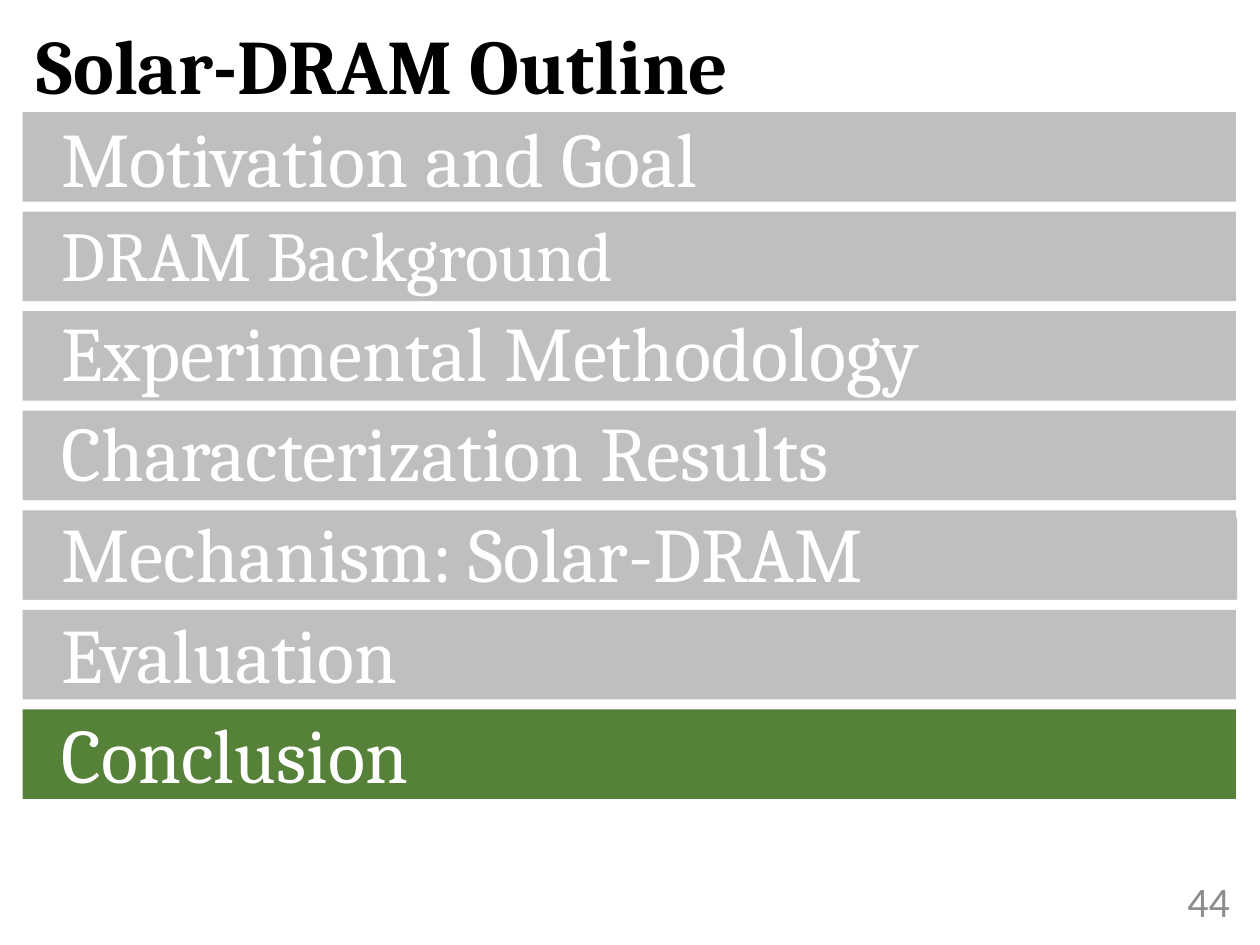
from pptx import Presentation
from pptx.dml.color import RGBColor
from pptx.enum.shapes import MSO_SHAPE
from pptx.enum.text import MSO_ANCHOR, PP_ALIGN
from pptx.util import Inches, Pt

TITLE = "Solar-DRAM Outline"
PAGE = "44"
# topic, text size
TOPICS = [
    ("Motivation and Goal", 44),
    ("DRAM Background", 40),
    ("Experimental Methodology", 44),
    ("Characterization Results", 44),
    ("Mechanism: Solar-DRAM", 44),
    ("Evaluation", 44),
    ("Conclusion", 44),
]
CURRENT = "Conclusion"
GRAY, GREEN, WHITE, BLACK, PAGE_GRAY = "BFBFBF", "558139", "FFFFFF", "000000", "8C8C8C"

BAR_LEFT, BAR_TOP, BAR_W, BAR_H = 0.18, 0.89, 9.63, 0.71
BAR_PITCH = 0.79


def rgb(color):
    return RGBColor.from_string(color)


def add_bar(left, top, width, height, color):
    bar = s.shapes.add_shape(MSO_SHAPE.RECTANGLE, *map(Inches, (left, top, width, height)))
    bar.shadow.inherit = False
    bar.fill.solid()
    bar.fill.fore_color.rgb = rgb(color)
    bar.line.fill.background()


def add_text(box, lines, color, font="Cambria", bold=False, align=PP_ALIGN.LEFT,
             anchor=MSO_ANCHOR.MIDDLE, spacing=0.9, before=0):
    """Add a text box with one paragraph for each (text, size) in lines."""
    tf = s.shapes.add_textbox(*map(Inches, box)).text_frame
    tf.word_wrap = True
    tf.vertical_anchor = anchor
    tf.text = "\n".join(text for text, _ in lines)
    for i, (p, (_, size)) in enumerate(zip(tf.paragraphs, lines)):
        p.alignment = align
        p.line_spacing = spacing
        p.space_before = Pt(before if i else 0)
        f = p.runs[0].font
        f.name, f.size, f.bold = font, Pt(size), bold
        f.color.rgb = rgb(color)


prs = Presentation()
prs.slide_width, prs.slide_height = Inches(10), Inches(7.5)
s = prs.slides.add_slide(prs.slide_layouts[6])

for i, (topic, _) in enumerate(TOPICS):
    add_bar(BAR_LEFT, BAR_TOP + i * BAR_PITCH, BAR_W, BAR_H,
            GREEN if topic == CURRENT else GRAY)
# Second, slightly lower bar behind the mechanism topic
add_bar(0.19, 4.11, BAR_W, 0.65, GRAY)

add_text((0.39, 0.91, 8.88, 6.34), TOPICS, WHITE, anchor=MSO_ANCHOR.TOP, before=10)
add_text((7.06, 6.95, 2.8, 0.4), [(PAGE, 24)], PAGE_GRAY, font="Calibri",
         align=PP_ALIGN.RIGHT, spacing=1.0)
add_text((0.19, 0.15, 9.52, 0.81), [(TITLE, 44)], BLACK, bold=True)

prs.save("out.pptx")
